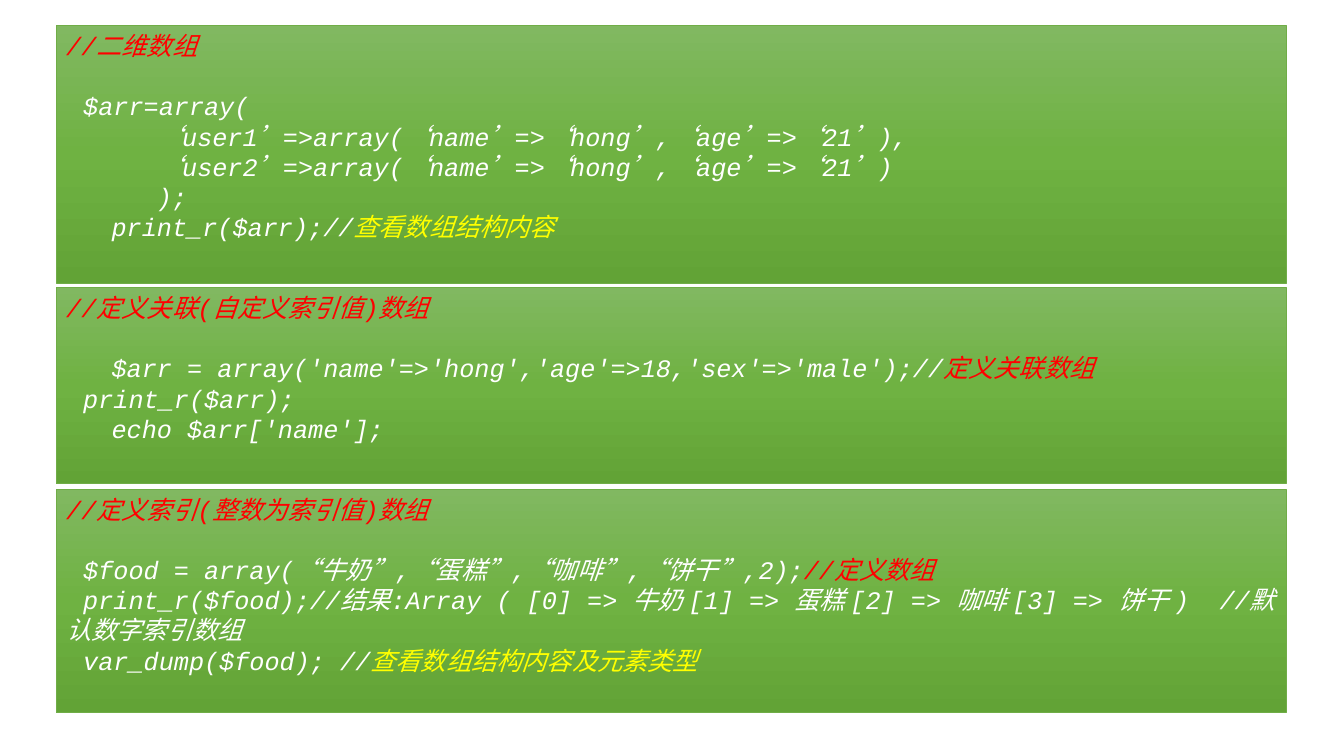
from dataclasses import dataclass
from itertools import groupby
from copy import deepcopy

from lxml.etree import SubElement
from pptx import Presentation
from pptx.dml.color import RGBColor as RGB
from pptx.enum.lang import MSO_LANGUAGE_ID as Lang
from pptx.enum.shapes import MSO_SHAPE as Shape
from pptx.enum.text import MSO_ANCHOR as Anchor, MSO_AUTO_SIZE as AutoSize, PP_ALIGN as Align
from pptx.oxml.ns import qn
from pptx.util import Cm, Pt

COLORS = {"white": "FFFFFF", "red": "FF0000", "yellow": "FFFF00", "border": "70AD47",
          "top": "81B861", "middle": "6FB242", "bottom": "62A336"}
CODE_FONT, CJK_FONT = "Courier New", "Noto Sans CJK SC"
LEFT, WIDTH = Cm(1.42), Cm(30.99)


@dataclass
class Part:
    text: str
    color: str = "white"


@dataclass
class Panel:
    top: float
    height: float
    heading: str
    lines: list[list[Part]]


INDENT = Part("   ")
PANELS = [
    Panel(0.64, 6.5, "//二维数组", [
        [INDENT, Part("$arr=array(")],
        [Part("      ‘user1’=>array(‘name’=>‘hong’,‘age’=>‘21’),")],
        [Part("      ‘user2’=>array(‘name’=>‘hong’,‘age’=>‘21’)")],
        [Part("      );")],
        [Part("   print_r($arr);//"), Part("查看数组结构内容", "yellow")],
    ]),
    Panel(7.24, 4.95, "//定义关联(自定义索引值)数组", [
        [Part("   $arr = array('name'=>'hong','age'=>18,'sex'=>'male');//"),
         Part("定义关联数组", "red")],
        [Part("   print_r($arr);")],
        [Part("   echo $arr['name'];")],
    ]),
    Panel(12.32, 5.64, "//定义索引(整数为索引值)数组", [
        [INDENT, Part("$food = array(“牛奶”,“蛋糕”,“咖啡”,“饼干”,2);"), Part("//定义数组", "red")],
        [Part("   print_r($food);//结果:Array ( [0] => 牛奶 [1] => 蛋糕 [2] => 咖啡 [3] => 饼干 )"
              "  //默认数字索引数组")],
        [Part("   var_dump($food); //"), Part("查看数组结构内容及元素类型", "yellow")],
    ]),
]


def is_cjk(char: str) -> bool:
    return "一" <= char <= "鿿"


def add_part(p, part: Part) -> None:
    """Add one run for each stretch of Chinese or code characters."""
    for cjk, chars in groupby(part.text, is_cjk):
        r = p.add_run()
        r.text = "".join(chars)
        r.font.size, r.font.italic = Pt(18), True
        r.font.language_id = Lang.SIMPLIFIED_CHINESE
        r.font.color.rgb = RGB.from_string(COLORS[part.color])
        r.font.name = CJK_FONT if cjk or part is INDENT else CODE_FONT
        SubElement(r.font._element, qn("a:ea")).set("typeface", CJK_FONT)


def fill_gradient(sp) -> None:
    sp.fill.gradient()
    sp.fill.gradient_angle = 270
    stops = sp._element.spPr.find(qn("a:gradFill")).find(qn("a:gsLst"))
    stops.append(deepcopy(stops[-1]))
    for i, (stop, name) in enumerate(zip(sp.fill.gradient_stops, ("top", "middle", "bottom"))):
        stop.position = i / 2
        stop.color.rgb = RGB.from_string(COLORS[name])


def add_panel(slide, panel: Panel) -> None:
    sp = slide.shapes.add_shape(Shape.RECTANGLE, LEFT, Cm(panel.top), WIDTH, Cm(panel.height))
    sp.shadow.inherit = False
    fill_gradient(sp)
    sp.line.color.rgb = RGB.from_string(COLORS["border"])
    sp.line.width = Pt(0.5)

    tf = sp.text_frame
    tf.word_wrap, tf.auto_size = True, AutoSize.NONE
    tf.vertical_anchor = Anchor.TOP

    # Heading comment
    p = tf.paragraphs[0]
    p.alignment = Align.LEFT
    add_part(p, Part(panel.heading, "red"))

    # Code lines
    p = tf.add_paragraph()
    p.alignment = Align.LEFT
    p.space_before = Pt(21.5)
    for i, line in enumerate(panel.lines):
        if i:
            p.add_line_break()
        for part in line:
            add_part(p, part)


def main() -> None:
    prs = Presentation()
    prs.slide_width, prs.slide_height = Cm(33.87), Cm(19.05)
    slide = prs.slides.add_slide(prs.slide_layouts[6])
    for panel in PANELS:
        add_panel(slide, panel)
    prs.save("out.pptx")


if __name__ == "__main__":
    main()
